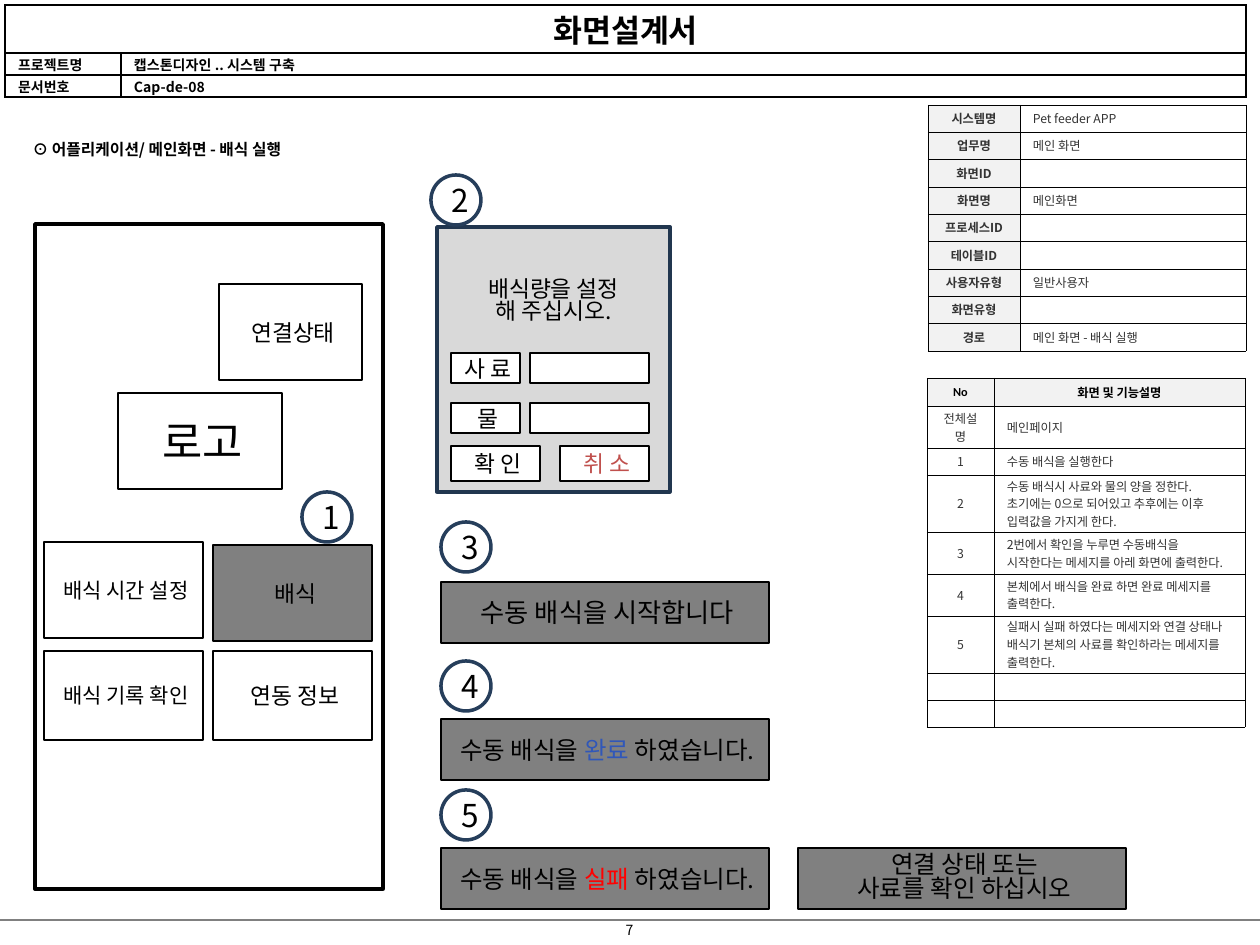
from dataclasses import dataclass

from lxml.etree import SubElement
from pptx import Presentation
from pptx.dml.color import RGBColor
from pptx.enum.shapes import MSO_CONNECTOR, MSO_SHAPE
from pptx.enum.text import MSO_ANCHOR, MSO_AUTO_SIZE, PP_ALIGN
from pptx.oxml.ns import qn
from pptx.util import Pt

PX = 914400 / 126


@dataclass(frozen=True)
class Theme:
    font: str = "Noto Sans CJK KR"
    label_font: str = "Arial"
    number_font: str = "Calibri"
    black: str = "000000"
    white: str = "FFFFFF"
    gray: str = "808080"
    text_gray: str = "333333"
    head_fill: str = "F2F2F2"
    dialog_fill: str = "D9D9D9"
    dialog_line: str = "21364F"
    badge_line: str = "263E5B"
    cancel: str = "C0504D"
    done: str = "3057B9"
    failed: str = "FF0000"
    small: int = 7
    label: int = 8
    heading: int = 9
    button: int = 12
    body: int = 13
    message: int = 14
    start: int = 15
    title: int = 18
    logo: int = 25


theme = Theme()


def write(frame, text, size, color=theme.black, bold=False, align=PP_ALIGN.CENTER,
          accent=("", ""), latin=theme.font, spacing=None):
    """Fill a text frame; each line is a paragraph, accent is (word, color)."""
    frame.word_wrap = True
    for index, line in enumerate(text.split("\n")):
        paragraph = frame.paragraphs[0] if index == 0 else frame.add_paragraph()
        paragraph.alignment = align
        paragraph.line_spacing = spacing
        if not line:
            paragraph._p.get_or_add_endParaRPr().set("sz", str(size * 100))
            continue
        word, word_color = accent
        parts = line.partition(word) if word else (line,)
        for part in parts:
            run = paragraph.add_run()
            run.text = part
            for name, value in {"size": Pt(size), "bold": bold, "name": latin}.items():
                setattr(run.font, name, value)
            run.font.color.rgb = RGBColor.from_string(word_color if part == word else color)
            SubElement(run._r.get_or_add_rPr(), qn("a:ea"), typeface=theme.font)


def add_box(bounds, fill, line=theme.black, weight=0.75, kind=MSO_SHAPE.RECTANGLE,
            margins=(10, 6, 5, 6)):
    shape = slide.shapes.add_shape(kind, *[int(value * PX) for value in bounds])
    shape.shadow.inherit = False
    if fill:
        shape.fill.solid()
        shape.fill.fore_color.rgb = RGBColor.from_string(fill)
    else:
        shape.fill.background()
    shape.line.color.rgb = RGBColor.from_string(line)
    shape.line.width = Pt(weight)
    frame = shape.text_frame
    frame.vertical_anchor = MSO_ANCHOR.MIDDLE
    for side, value in zip(("left", "top", "right", "bottom"), margins):
        setattr(frame, f"margin_{side}", int(value * PX))
    return shape


presentation = Presentation()
presentation.slide_width, presentation.slide_height = int(1260 * PX), int(945 * PX)
slide = presentation.slides.add_slide(presentation.slide_layouts[5])

# Footer rule and page number
rule = slide.shapes.add_connector(
    MSO_CONNECTOR.STRAIGHT, 0, int(920 * PX), int(1260 * PX), int(920 * PX))
rule.line.color.rgb = RGBColor.from_string(theme.gray)
rule.line.width = Pt(0.75)
SubElement(rule._element.spPr, qn("a:effectLst"))
page = slide.shapes.add_textbox(*[int(value * PX) for value in (595, 917, 69, 30)])
page.text_frame.margin_top = int(4 * PX)
write(page.text_frame, "7", theme.label)

# Tables: document header, screen properties, function descriptions
tables = [
    dict(place=(5, 5), widths=(116, 1125), heights=(48, 22, 22), border=1,
         size=theme.label, color=theme.black, merged=True,
         rows=[("화면설계서", ""),
               ("프로젝트명", "캡스톤디자인 .. 시스템 구축"),
               ("문서번호", "Cap-de-08")]),
    dict(place=(928, 105), widths=(92, 226), heights=(27, 27, 28) * 3, border=0.25,
         size=theme.small, color=theme.text_gray, head="column",
         rows=[("시스템명", "Pet feeder APP"), ("업무명", "메인 화면"), ("화면ID", ""),
               ("화면명", "메인화면"), ("프로세스ID", ""), ("테이블ID", ""),
               ("사용자유형", "일반사용자"), ("화면유형", ""),
               ("경로", "메인 화면 - 배식 실행")]),
    dict(place=(927, 378), widths=(67, 251), heights=(28, 42, 27, 57, 42, 42, 57, 27, 27),
         border=0.25, size=theme.small, color=theme.text_gray, head="row",
         rows=[("No", "화면 및 기능설명"), ("전체설명", "메인페이지"),
               ("1", "수동 배식을 실행한다"),
               ("2", "수동 배식시 사료와 물의 양을 정한다.\n"
                     "초기에는 0으로 되어있고 추후에는 이후 입력값을 가지게 한다."),
               ("3", "2번에서 확인을 누루면 수동배식을 시작한다는 메세지를 아레 화면에 출력한다."),
               ("4", "본체에서 배식을 완료 하면 완료 메세지를 출력한다."),
               ("5", "실패시 실패 하였다는 메세지와 연결 상태나 "
                     "배식기 본체의 사료를 확인하라는 메세지를 출력한다."),
               ("", ""), ("", "")]),
]
for spec_table in tables:
    rows, widths, heights = (spec_table[key] for key in ("rows", "widths", "heights"))
    bounds = (*spec_table["place"], sum(widths), sum(heights))
    table = slide.shapes.add_table(
        len(rows), 2, *[int(value * PX) for value in bounds]).table
    table.first_row = table.horz_banding = False
    for column, width in zip(table.columns, widths):
        column.width = int(width * PX)
    merged = spec_table.get("merged", False)
    if merged:
        table.cell(0, 0).merge(table.cell(0, 1))
    for r, row in enumerate(rows):
        table.rows[r].height = int(heights[r] * PX)
        for c, text in enumerate(row):
            cell = table.cell(r, c)
            is_head = {"row": r, "column": c}.get(spec_table.get("head")) == 0
            is_title = merged and r == 0
            for name, value in dict(margin_left=13, margin_right=13,
                                    margin_top=1, margin_bottom=1).items():
                setattr(cell, name, int(value * PX))
            cell.vertical_anchor = MSO_ANCHOR.MIDDLE
            # Borders come before the fill in the cell properties
            properties = cell._tc.get_or_add_tcPr()
            for side in ("lnL", "lnR", "lnT", "lnB"):
                border = SubElement(properties, qn(f"a:{side}"),
                                    w=str(int(Pt(spec_table["border"]))))
                SubElement(SubElement(border, qn("a:solidFill")),
                           qn("a:srgbClr"), val=theme.black)
            cell.fill.solid()
            cell.fill.fore_color.rgb = RGBColor.from_string(
                theme.head_fill if is_head else theme.white)
            centered = is_title or (c == 0 and not merged) or is_head
            header_row = is_head and spec_table["head"] == "row"
            header_font = theme.label_font if c else theme.number_font
            write(cell.text_frame, text, theme.title if is_title else spec_table["size"],
                  theme.black if header_row else spec_table["color"],
                  merged or is_head, PP_ALIGN.CENTER if centered else PP_ALIGN.LEFT,
                  latin=header_font if header_row else theme.font)

# Section heading
heading = slide.shapes.title
for name, value in dict(left=20, top=137, width=287, height=50).items():
    setattr(heading, name, int(value * PX))
heading.text_frame.auto_size = MSO_AUTO_SIZE.NONE
heading.text_frame.vertical_anchor = MSO_ANCHOR.TOP
write(heading.text_frame, "⊙ 어플리케이션/ 메인화면 - 배식 실행", theme.heading,
      bold=True, align=PP_ALIGN.LEFT, spacing=0.81)

# Phone outline and dialog panel
add_box((35, 224, 348, 665), None, weight=2)
dialog = add_box((437, 227, 233, 265), theme.dialog_fill, theme.dialog_line, 2,
                 margins=(13, 53, 13, 6))
dialog.text_frame.vertical_anchor = MSO_ANCHOR.TOP
write(dialog.text_frame, "배식량을 설정\n해 주십시오.", theme.body, spacing=0.81)

# Phone buttons, then dialog fields and buttons
for bounds, text, size, fill, color in [
    ((118, 393, 164, 96), "로고", theme.logo, theme.white, theme.black),
    ((219, 284, 143, 96), "연결상태", theme.body, theme.white, theme.black),
    ((44, 542, 159, 96), "배식 시간 설정", theme.button, theme.white, theme.black),
    ((213, 545, 159, 96), "배식", theme.body, theme.gray, theme.black),
    ((44, 651, 159, 89), "배식 기록 확인", theme.button, theme.white, theme.black),
    ((213, 651, 159, 89), "연동 정보", theme.body, theme.white, theme.black),
    ((451, 353, 69, 30), "사 료", theme.body, theme.white, theme.black),
    ((530, 353, 119, 30), "", theme.body, theme.white, theme.black),
    ((451, 403, 69, 30), "물", theme.body, theme.white, theme.black),
    ((530, 403, 119, 30), "", theme.body, theme.white, theme.black),
    ((451, 446, 89, 35), "확 인", theme.body, theme.white, theme.black),
    ((560, 446, 89, 35), "취 소", theme.body, theme.white, theme.cancel),
]:
    write(add_box(bounds, fill).text_frame, text, size, color)

# Result messages
for left, top, text, size, accent in [
    (441, 582, "수동 배식을 시작합니다", theme.start, ("", "")),
    (441, 719, "수동 배식을 완료 하였습니다.", theme.message, ("완료", theme.done)),
    (441, 848, "수동 배식을 실패 하였습니다.", theme.message, ("실패", theme.failed)),
    (798, 848, "연결 상태 또는\n사료를 확인 하십시오", theme.message, ("", "")),
]:
    message = add_box((left, top, 328, 61), theme.gray)
    write(message.text_frame, text, size, accent=accent,
          spacing=0.81 if "\n" in text else None)

# Numbered badges
for number, (left, top) in enumerate(
        [(302, 492), (431, 175), (441, 522), (441, 661), (441, 790)], start=1):
    badge = add_box((left, top, 50, 50), theme.white, theme.badge_line, 2,
                    MSO_SHAPE.OVAL, (13, 6, 13, 6))
    write(badge.text_frame, str(number), theme.title)

presentation.save("out.pptx")
